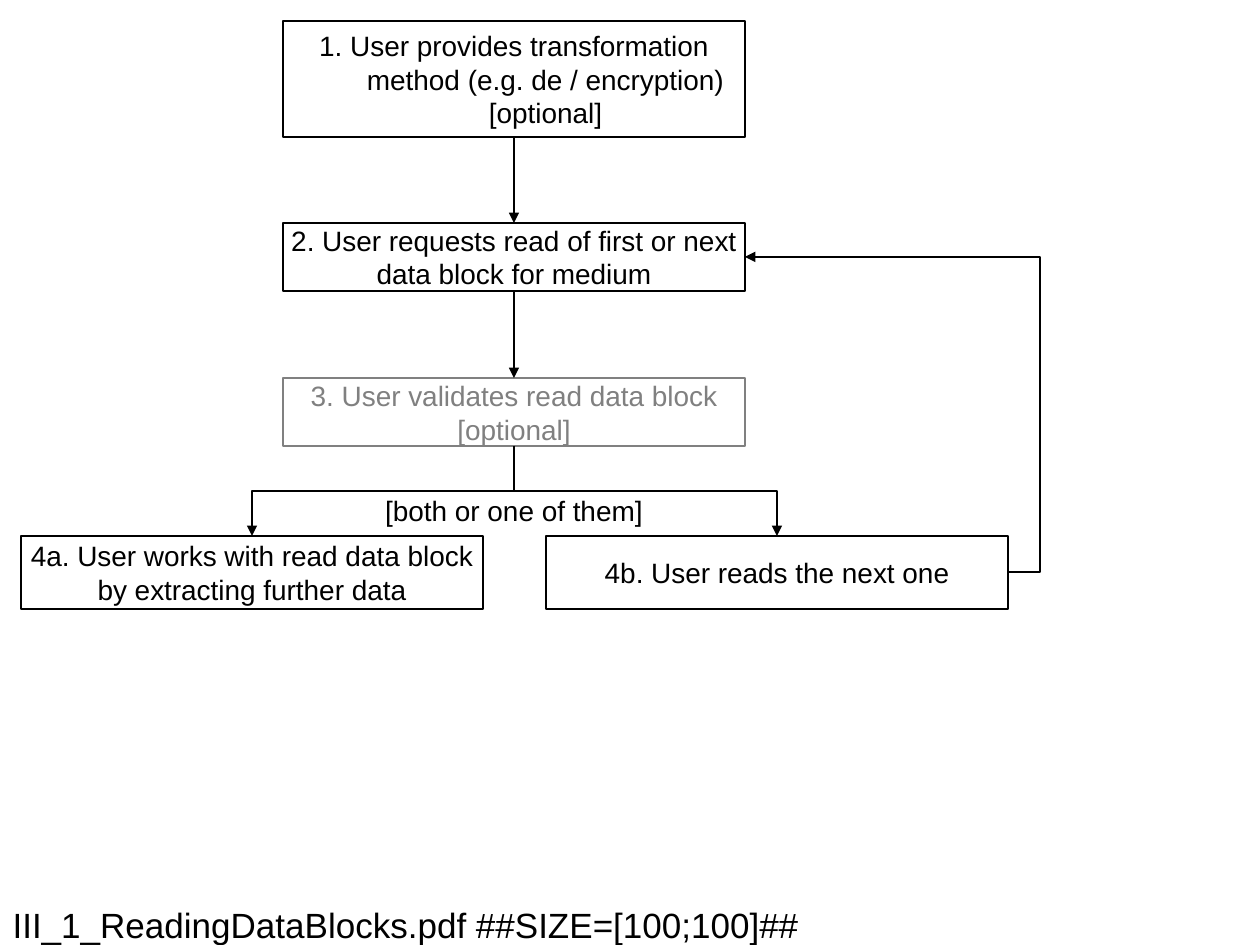
from lxml.etree import SubElement
from pptx import Presentation
from pptx.dml.color import RGBColor
from pptx.enum.shapes import MSO_CONNECTOR as CONN, MSO_SHAPE as SHAPE
from pptx.enum.text import MSO_ANCHOR as ANCHOR, MSO_AUTO_SIZE as AUTO, PP_ALIGN as ALIGN
from pptx.oxml.ns import qn
from pptx.util import Emu, Inches, Pt

BLACK = RGBColor(0, 0, 0)
GRAY = RGBColor(0x80, 0x80, 0x80)
TOP, BOTTOM = 0, 2


def px(n):
    return Emu(round(n * 914400 / 126))


def put_text(tf, text, size=16, color=BLACK, align=ALIGN.CENTER, wrap=False,
             hanging=0, font="Arial"):
    tf.word_wrap = wrap
    tf.auto_size = AUTO.NONE
    tf.vertical_anchor = ANCHOR.MIDDLE
    p = tf.paragraphs[0]
    p.text = text
    p.alignment = align
    if hanging:
        pPr = p._p.get_or_add_pPr()
        pPr.set("marL", str(px(hanging)))
        pPr.set("indent", str(-px(hanging)))
    for r in p.runs:
        r.font.name, r.font.size = font, Pt(size)
        r.font.color.rgb = color
    for br in p._p.findall(qn("a:br")):
        SubElement(br, qn("a:rPr")).set("sz", str(size * 100))


class FlowSlide:
    line_width = Pt(0.75)

    def __init__(self, prs):
        self.slide = prs.slides.add_slide(prs.slide_layouts[5])
        self.shapes = self.slide.shapes

    def title(self, text, x, y, w, h):
        sp = self.shapes.title
        sp.left, sp.top, sp.width, sp.height = map(px, (x, y, w, h))
        put_text(sp.text_frame, text, size=20, align=ALIGN.LEFT, wrap=True)

    def box(self, text, x, y, h, w=462, color=BLACK, **fmt):
        sp = self.shapes.add_shape(SHAPE.RECTANGLE, *map(px, (x, y, w, h)))
        sp.shadow.inherit = False
        sp.fill.background()
        sp.line.color.rgb = color
        sp.line.width = self.line_width
        put_text(sp.text_frame, text, color=color, **fmt)
        return sp

    def label(self, text, x, y, w, h):
        sp = self.shapes.add_textbox(*map(px, (x, y, w, h)))
        put_text(sp.text_frame, text)

    def connector(self, kind, x1, y1, x2, y2):
        cxn = self.shapes.add_connector(kind, *map(px, (x1, y1, x2, y2)))
        cxn.line.color.rgb = BLACK
        cxn.line.width = self.line_width
        SubElement(cxn.line._get_or_add_ln(), qn("a:tailEnd")).set("type", "triangle")
        SubElement(cxn._element.spPr, qn("a:effectLst"))
        return cxn

    def arrow_down(self, upper, lower):
        cxn = self.connector(CONN.STRAIGHT, 0, 0, 0, 0)
        cxn.begin_connect(upper, BOTTOM)
        cxn.end_connect(lower, TOP)

    def branch_down(self, x1, y1, x2, y2):
        """Elbow that leaves and arrives vertically: a turned horizontal elbow."""
        cx, cy = (x1 + x2) / 2, (y1 + y2) / 2
        side = 1 if x2 > x1 else -1
        half_w, half_h = side * (y2 - y1) / 2, abs(x2 - x1) / 2
        cxn = self.connector(CONN.ELBOW, cx + half_w, cy - half_h,
                             cx - half_w, cy + half_h)
        turn = 270 if side > 0 else 90
        cxn._element.spPr.find(qn("a:xfrm")).set("rot", str(turn * 60000))

    def loop_back(self, x1, y1, x2, y2, bend_x):
        """Elbow whose vertical part lies at bend_x, outside both ends."""
        cxn = self.connector(CONN.ELBOW, x1, y1, x2, y2)
        geom = cxn._element.spPr.find(qn("a:prstGeom"))
        av = geom.find(qn("a:avLst"))
        if av is None:
            av = SubElement(geom, qn("a:avLst"))
        gd = SubElement(av, qn("a:gd"))
        gd.set("name", "adj1")
        gd.set("fmla", f"val {round((bend_x - x1) / (x2 - x1) * 100000)}")


def main():
    prs = Presentation()
    prs.slide_width, prs.slide_height = Inches(10), Inches(7.5)
    s = FlowSlide(prs)
    s.title("III_1_ReadingDataBlocks.pdf ##SIZE=[100;100]##", 0, 903, 1260, 42)

    method = s.box("1. User provides transformation\nmethod (e.g. de / encryption)\n[optional]",
                   283, 21, 116, hanging=63)
    request = s.box("2. User requests read of first or next\ndata block for medium",
                    283, 223, 68)
    validate = s.box("3. User validates read data block\n[optional]",
                     283, 378, 68, color=GRAY)
    s.box("4a. User works with read data block\nby extracting further data", 21, 536, 73)
    s.box("4b. User reads the next one", 546, 536, 73)

    s.arrow_down(method, request)
    s.arrow_down(request, validate)
    for x in (252, 777):
        s.branch_down(514, 446, x, 536)
    s.label("[both or one of them]", 430, 494, 168, 32)
    s.loop_back(1008, 572, 745, 257, bend_x=1040)

    prs.save("out.pptx")


if __name__ == "__main__":
    main()
